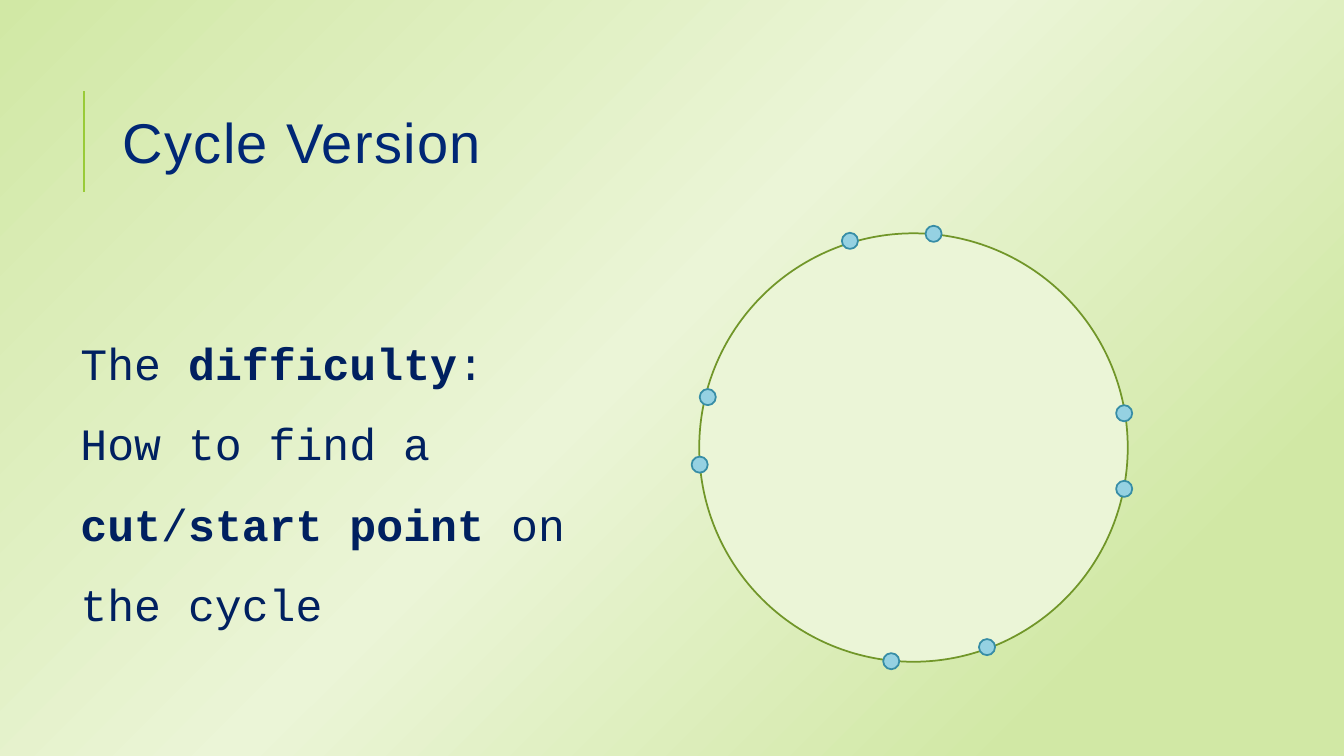
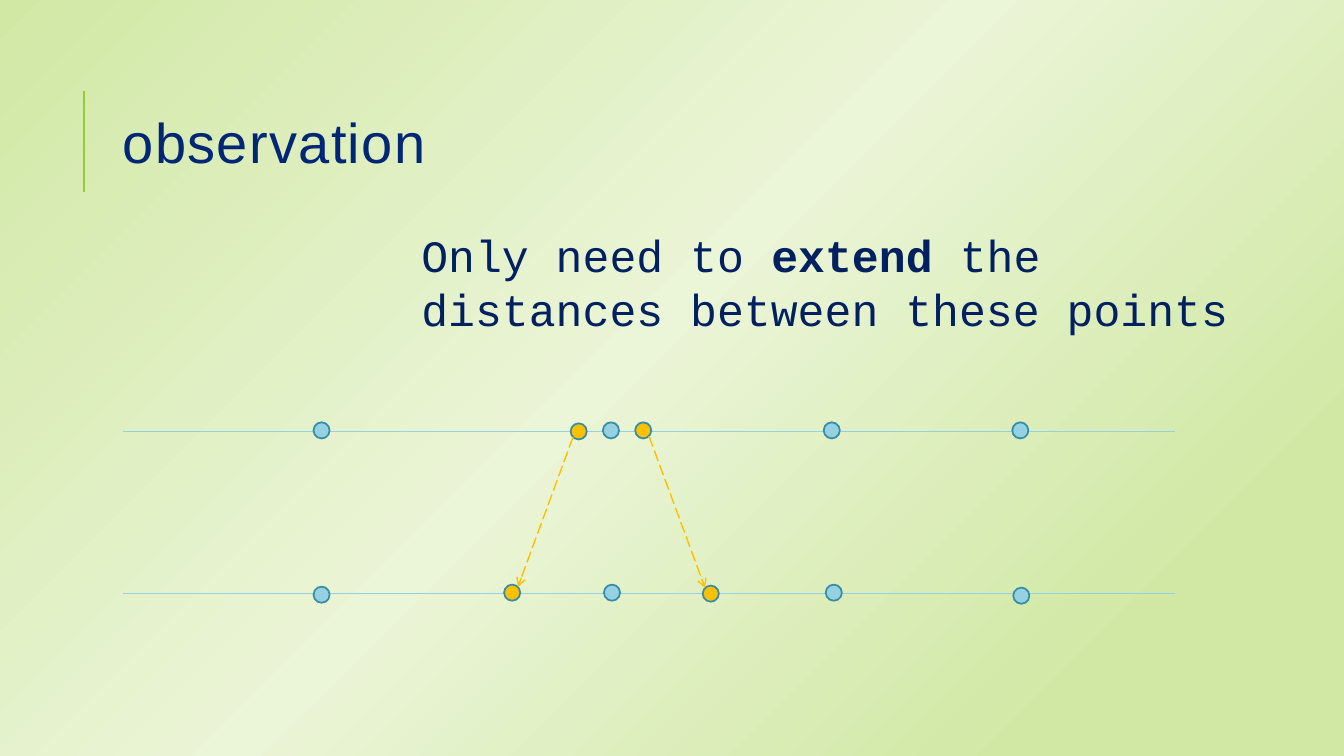
from copy import deepcopy

from lxml import etree
from pptx import Presentation
from pptx.dml.color import RGBColor
from pptx.enum import dml, shapes, text
from pptx.oxml.ns import qn
from pptx.util import Inches, Pt

# Shared look
BACKGROUND_STOPS = [(0, "D1E8A5"), (0.47, "EBF5D7"), (0.84, "D1E8A5")]
ACCENT, TITLE, BODY = "99CB38", "002775", "002060"
BLUE, DOT_EDGE, ORANGE = "95D1E2", "378DA6", "FFC000"
RING_FILL, RING_EDGE = "EBF5D7", "719629"
DOT_SIZE = 0.16

# Slide 1: each run is (text, bold)
DIFFICULTY_LINES = [
    [("The ", False), ("difficulty", True), (":", False)],
    [("How to find a ", False), ("cut", True), ("/", False),
     ("start point ", True), ("on the cycle", False)],
]
RING_CENTRE, RING_SIZE = (9.06, 4.44), 4.25
RING_DOTS = [(8.43, 2.39), (9.26, 2.32), (11.15, 4.10), (7.02, 3.94),
             (9.79, 6.42), (11.15, 4.85), (6.94, 4.61), (8.84, 6.56)]

# Slide 2: dot centres along each line
OBSERVATION_LINES = [
    [("Only need to ", False), ("extend", True),
     (" the distances between these points", False)],
]
LINE_LEFT, LINE_RIGHT = 1.22, 11.65
NUMBER_LINES = [
    {"y": 4.28,
     "fixed": [(3.19, 4.27), (6.06, 4.27), (8.25, 4.27), (10.12, 4.27)],
     "moved": [(5.74, 4.28), (6.38, 4.27)]},
    {"y": 5.89,
     "fixed": [(3.19, 5.90), (6.07, 5.88), (8.27, 5.88), (10.13, 5.91)],
     "moved": [(5.08, 5.88), (7.05, 5.89)]},
]


def colour(value):
    return RGBColor.from_string(value)


def set_background(master):
    fill = master.background.fill
    fill.gradient()
    fill.gradient_angle = 315
    stop_list = master.element.find(".//" + qn("a:gsLst"))
    stop_list.append(deepcopy(stop_list[-1]))
    for stop, (position, value) in zip(fill.gradient_stops, BACKGROUND_STOPS):
        stop.position = position
        stop.color.rgb = colour(value)


def add_line(slide, start, end, value, width):
    line = slide.shapes.add_connector(
        shapes.MSO_CONNECTOR.STRAIGHT, *map(Inches, (*start, *end)))
    line.line.color.rgb = colour(value)
    line.line.width = Pt(width)
    etree.SubElement(line.element.spPr, qn("a:effectLst"))
    return line


def add_circle(slide, centre, size, fill, edge):
    x, y = centre
    circle = slide.shapes.add_shape(
        shapes.MSO_SHAPE.OVAL, Inches(x - size / 2), Inches(y - size / 2),
        Inches(size), Inches(size))
    circle.shadow.inherit = False
    circle.fill.solid()
    circle.fill.fore_color.rgb = colour(fill)
    circle.line.color.rgb = colour(edge)
    circle.line.width = Pt(1.25)


def add_dots(slide, centres, fill):
    for centre in centres:
        add_circle(slide, centre, DOT_SIZE, fill, DOT_EDGE)


def add_text(slide, box, lines, font, size, value, spacing):
    frame = slide.shapes.add_textbox(*map(Inches, box)).text_frame
    frame.word_wrap = True
    paragraph = frame.paragraphs[0]
    paragraph.line_spacing = spacing
    paragraph.font.name = font
    paragraph.font.size = Pt(size)
    paragraph.font.color.rgb = colour(value)
    for index, runs in enumerate(lines):
        if index:
            paragraph.add_line_break()
        for content, bold in runs:
            run = paragraph.add_run()
            run.text = content
            if bold:
                run.font.bold = True
    return frame


def add_body(slide, box, lines, spacing):
    frame = add_text(slide, box, lines, "Courier New", 32, BODY, spacing)
    frame.auto_size = text.MSO_AUTO_SIZE.SHAPE_TO_FIT_TEXT


def add_slide(presentation, title):
    slide = presentation.slides.add_slide(presentation.slide_layouts[6])
    add_line(slide, (0.83, 1.9), (0.83, 0.9), ACCENT, 1.5)
    frame = add_text(slide, (1.12, 0.64, 10.63, 1.64), [[(title, False)]],
                     "Arial", 40, TITLE, 0.8)
    frame.vertical_anchor = text.MSO_ANCHOR.MIDDLE
    # Letter spacing of one point
    frame.paragraphs[0].runs[0]._r.get_or_add_rPr().set("spc", "100")
    return slide


def add_move_arrow(slide, start, end):
    # Run diagonally from the lower edge of one dot to the upper edge of the next
    offset = DOT_SIZE / 2 * 0.71
    side = offset if end[0] > start[0] else -offset
    arrow = add_line(slide, (start[0] + side, start[1] + offset),
                     (end[0] - side, end[1] - offset), ORANGE, 1)
    arrow.line.dash_style = dml.MSO_LINE.LONG_DASH
    etree.SubElement(arrow.line._get_or_add_ln(), qn("a:tailEnd"), type="arrow")


def build_cycle(presentation):
    slide = add_slide(presentation, "Cycle Version")
    add_body(slide, (0.7, 3.01, 5.9, 2.52), DIFFICULTY_LINES, 1.5)
    add_circle(slide, RING_CENTRE, RING_SIZE, RING_FILL, RING_EDGE)
    add_dots(slide, RING_DOTS, BLUE)


def build_observation(presentation):
    slide = add_slide(presentation, "observation")
    for row in NUMBER_LINES:
        add_line(slide, (LINE_LEFT, row["y"]), (LINE_RIGHT, row["y"]), BLUE, 0.75)
        add_dots(slide, row["fixed"], BLUE)
        add_dots(slide, row["moved"], ORANGE)
    for start, end in zip(*(row["moved"] for row in NUMBER_LINES)):
        add_move_arrow(slide, start, end)
    add_body(slide, (4.08, 2.21, 8.35, 1.18), OBSERVATION_LINES, 1.0)


def main():
    presentation = Presentation()
    presentation.slide_width = Inches(13.33)
    presentation.slide_height = Inches(7.5)
    set_background(presentation.slide_master)
    build_cycle(presentation)
    build_observation(presentation)
    presentation.save("out.pptx")


if __name__ == "__main__":
    main()
